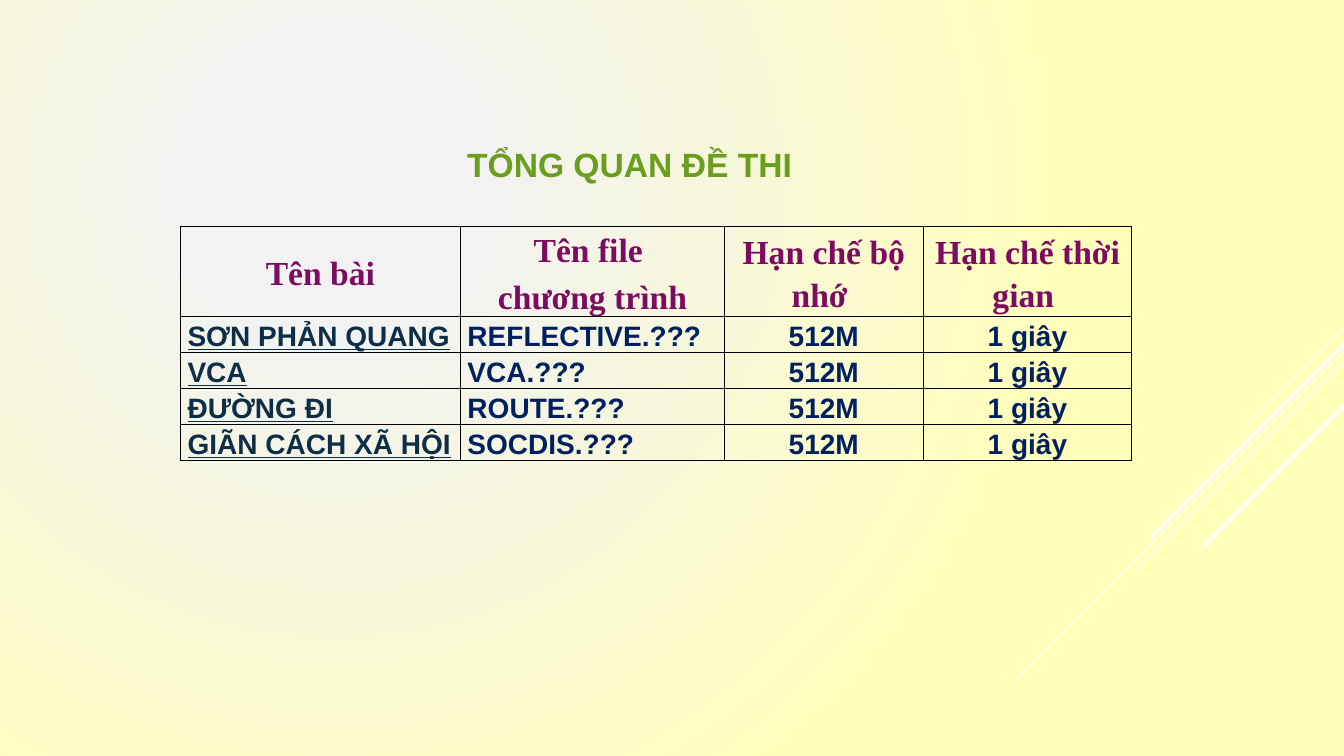
from lxml import etree
from pptx import Presentation
from pptx.dml.color import RGBColor
from pptx.enum.shapes import MSO_CONNECTOR
from pptx.enum.text import MSO_ANCHOR, PP_ALIGN
from pptx.oxml import parse_xml
from pptx.oxml.ns import nsdecls, qn
from pptx.util import Inches, Pt

WIDTH, HEIGHT = Inches(13.33), Inches(7.5)
GREEN = RGBColor(0x6A, 0x9E, 0x1F)
PURPLE = RGBColor(0x7C, 0x0B, 0x61)
TEAL = RGBColor(0x0D, 0x2E, 0x46)
NAVY = RGBColor(0x00, 0x20, 0x60)
WHITE = RGBColor(0xFF, 0xFF, 0xFF)
BLACK = RGBColor(0x00, 0x00, 0x00)
PALE_GREY = RGBColor(0xF2, 0xF2, 0xF2)
PALE_YELLOW = RGBColor(0xFF, 0xFF, 0xB9)

# Start height on the right edge, horizontal reach (percent), line width
STREAKS = [
    (43.2, 7.5, 0.75),
    (46.53, 24.45, 0.75),
    (47.87, 15.55, 0.75),
    (45.6, 14.33, 2.25),
    (53.73, 10.43, 2.25),
]
COLUMN_SHARES = [20.83, 19.65, 14.78, 15.53]
HEADER_SHARE, ROW_SHARE = 11.8, 4.7
HEADERS = ["Tên bài", "Tên file \nchương trình", "Hạn chế bộ nhớ ", "Hạn chế thời gian "]
PROBLEMS = [
    ("SƠN PHẢN QUANG", "REFLECTIVE"),
    ("VCA", "VCA"),
    ("ĐƯỜNG ĐI", "ROUTE"),
    ("GIÃN CÁCH XÃ HỘI", "SOCDIS"),
]


def across(percent):
    return int(WIDTH * percent / 100)


def down(percent):
    return int(HEIGHT * percent / 100)


def write(frame, text, *, size, font, color, align=PP_ALIGN.LEFT,
          underline=False, line_spacing=None, before=None):
    """Fill a text frame, one paragraph for each line of text."""
    frame.word_wrap = True
    for index, line in enumerate(text.split("\n")):
        paragraph = frame.add_paragraph() if index else frame.paragraphs[0]
        paragraph.alignment = align
        paragraph.line_spacing = line_spacing
        paragraph.space_before = before
        run = paragraph.add_run()
        run.text = line
        run.font.size = Pt(size)
        run.font.name = font
        run.font.bold = True
        run.font.underline = underline
        run.font.color.rgb = color


def paint_background(slide):
    """Radial gradient, centred in the upper left quarter."""
    slide.background.fill.solid()
    properties = slide.background.fill._xPr
    properties.replace(properties.find(qn("a:solidFill")), parse_xml(
        f'<a:gradFill {nsdecls("a")} rotWithShape="1"><a:gsLst>'
        f'<a:gs pos="17000"><a:srgbClr val="{PALE_GREY}"/></a:gs>'
        f'<a:gs pos="100000"><a:srgbClr val="{PALE_YELLOW}"/></a:gs></a:gsLst>'
        '<a:path path="circle"><a:fillToRect l="50000" t="50000" '
        'r="100000" b="100000"/></a:path></a:gradFill>'))


def add_streak(slide, start, reach, width):
    """Diagonal at 45 degrees, running down from the right edge."""
    line = slide.shapes.add_connector(
        MSO_CONNECTOR.STRAIGHT, WIDTH, down(start),
        WIDTH - across(reach), down(start) + across(reach))
    line.line.color.rgb = WHITE
    line.line.width = Pt(width)
    etree.SubElement(line._element.spPr, qn("a:effectLst"))


def add_title(slide, text):
    box = slide.shapes.add_textbox(across(29.85), down(18), across(33.98), down(10.8))
    box.text_frame.margin_top = Inches(0.08)
    box.text_frame.vertical_anchor = MSO_ANCHOR.TOP
    write(box.text_frame, text, size=24, font="Arial", color=GREEN, align=PP_ALIGN.CENTER)


def style_cell(cell):
    """Narrow margins, no fill and a thin black border on every side."""
    cell.margin_left = cell.margin_right = Inches(0.07)
    cell.margin_top = cell.margin_bottom = 0
    cell.vertical_anchor = MSO_ANCHOR.MIDDLE
    properties = cell._tc.get_or_add_tcPr()
    for side in ("lnL", "lnR", "lnT", "lnB"):
        properties.append(parse_xml(
            f'<a:{side} {nsdecls("a")} w="{Pt(1)}"><a:solidFill>'
            f'<a:srgbClr val="{BLACK}"/></a:solidFill></a:{side}>'))
    cell.fill.background()


def add_overview_table(slide):
    rows = [HEADERS] + [(name, f"{file}.???", "512M", "1 giây") for name, file in PROBLEMS]
    height = down(HEADER_SHARE + ROW_SHARE * len(PROBLEMS))
    table = slide.shapes.add_table(
        len(rows), len(HEADERS), across(13.43), down(30),
        across(sum(COLUMN_SHARES)), height).table
    table.first_row = table.horz_banding = False
    for column, share in zip(table.columns, COLUMN_SHARES):
        column.width = across(share)
    for row_index, texts in enumerate(rows):
        is_header = row_index == 0
        table.rows[row_index].height = down(HEADER_SHARE if is_header else ROW_SHARE)
        for column_index, text in enumerate(texts):
            cell = table.cell(row_index, column_index)
            style_cell(cell)
            is_name = column_index == 0 and not is_header
            centred = is_header or column_index >= 2
            write(cell.text_frame, text,
                  size=24 if is_header else 20,
                  font="Times New Roman" if is_header else "Arial",
                  color=PURPLE if is_header else TEAL if is_name else NAVY,
                  align=PP_ALIGN.CENTER if centred else PP_ALIGN.LEFT,
                  underline=is_name, line_spacing=1.15, before=Pt(3))


def main():
    presentation = Presentation()
    presentation.slide_width, presentation.slide_height = WIDTH, HEIGHT
    slide = presentation.slides.add_slide(presentation.slide_layouts[6])
    paint_background(slide)
    for streak in STREAKS:
        add_streak(slide, *streak)
    add_overview_table(slide)
    add_title(slide, "TỔNG QUAN ĐỀ THI")
    presentation.save("out.pptx")


if __name__ == "__main__":
    main()
